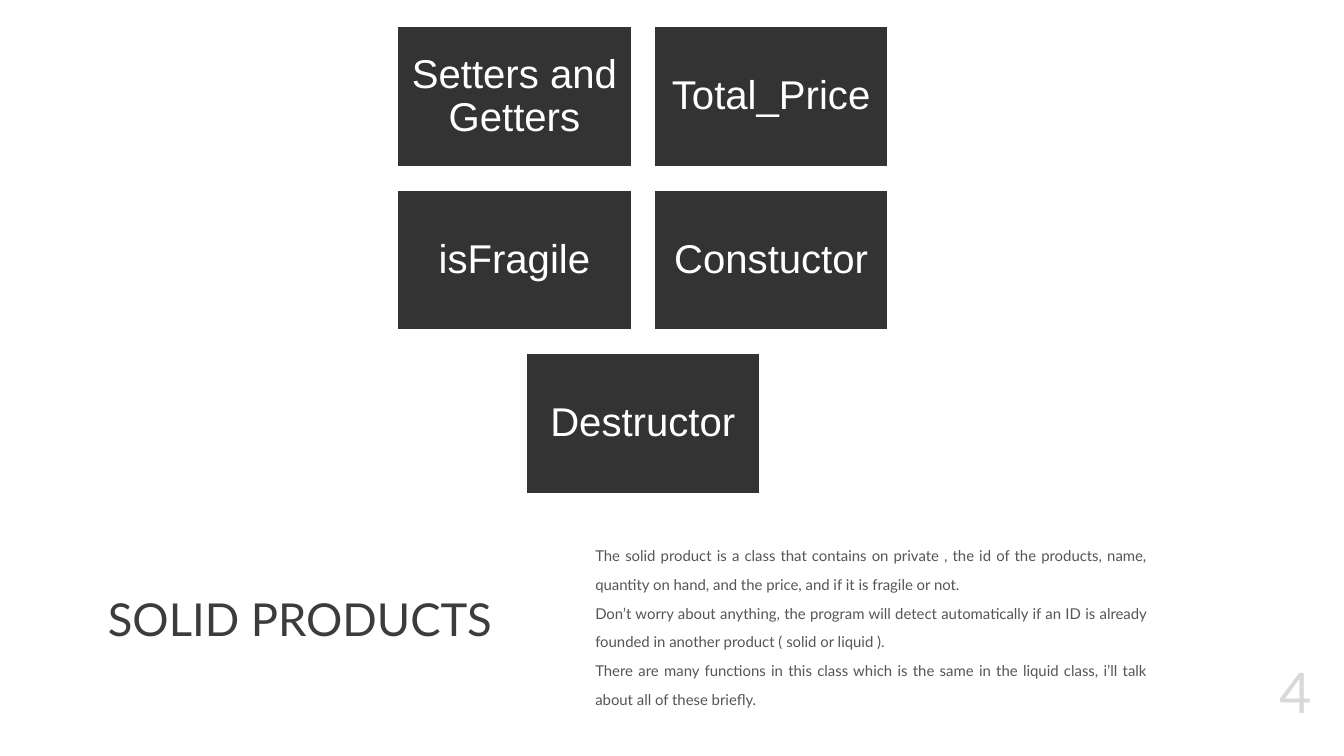
from pptx import Presentation
from pptx.dml.color import RGBColor
from pptx.enum.shapes import MSO_SHAPE
from pptx.enum.text import MSO_ANCHOR, PP_ALIGN
from pptx.util import Emu, Pt

PX = 9144  # 100 px to the inch
RECTANGLE = MSO_SHAPE.RECTANGLE
MIDDLE = MSO_ANCHOR.MIDDLE
CENTER, RIGHT, JUSTIFY = PP_ALIGN.CENTER, PP_ALIGN.RIGHT, PP_ALIGN.JUSTIFY

SLIDE_W, SLIDE_H = 2000, 1125
CARD_W, CARD_H, GAP = 347, 208, 35
CARDS_CENTER, CARDS_TOP = 956, 40
CARD_ROWS = [
    ["Setters and Getters", "Total_Price"],
    ["isFragile", "Constuctor"],
    ["Destructor"],
]
DESCRIPTION = [
    "The solid product is a class that contains on private , the id of the products, "
    "name, quantity on hand, and the price, and if it is fragile or not.",
    "Don’t worry about anything, the program will detect automatically if an ID is "
    "already founded in another product ( solid or liquid ).",
    "There are many functions in this class which is the same in the liquid class, "
    "i’ll talk about all of these briefly.",
]


def px(length):
    return Emu(length * PX)


def color(hex_string):
    return RGBColor.from_string(hex_string)


class SlideBuilder:
    CARD_FONT, TEXT_FONT = "Arial", "Lato"
    CARD_FILL, WHITE = "333333", "FFFFFF"
    TITLE_COLOR, BODY_COLOR, NUMBER_COLOR = "3C3C3C", "575454", "D9D9D9"

    def __init__(self, slide):
        self.slide = slide

    def set_text(self, shape, lines, font, size, hex_color, align, spacing, inset):
        """Fill a shape with vertically centred paragraphs in one style."""
        frame = shape.text_frame
        frame.word_wrap = True
        frame.vertical_anchor = MIDDLE
        frame.margin_left = frame.margin_right = px(inset)
        frame.margin_top = frame.margin_bottom = px(inset)
        frame.text = "\n".join(lines)
        for paragraph in frame.paragraphs:
            paragraph.alignment = align
            paragraph.line_spacing = spacing
            for run in paragraph.runs:
                run.font.name = font
                run.font.size = Pt(size)
                run.font.color.rgb = color(hex_color)

    def card(self, left, top, label):
        card = self.slide.shapes.add_shape(
            RECTANGLE, px(left), px(top), px(CARD_W), px(CARD_H))
        card.shadow.inherit = False
        card.fill.solid()
        card.fill.fore_color.rgb = color(self.CARD_FILL)
        card.line.color.rgb = color(self.WHITE)
        card.line.width = Pt(1)
        self.set_text(card, [label], self.CARD_FONT, 43, self.WHITE, CENTER, 0.9, 18)

    def text(self, left, top, width, height, lines, size, hex_color, align,
             spacing=1.0, inset=10):
        box = self.slide.shapes.add_textbox(px(left), px(top), px(width), px(height))
        self.set_text(box, lines, self.TEXT_FONT, size, hex_color, align, spacing, inset)

    def title(self, title):
        self.text(116, 868, 626, 115, [title], 48.6, self.TITLE_COLOR, RIGHT, 0.9)

    def body(self, paragraphs):
        self.text(876, 835, 841, 182, paragraphs, 16, self.BODY_COLOR, JUSTIFY, 1.6)

    def slide_number(self, number):
        self.text(1853, 978, 100, 100, [number], 60, self.NUMBER_COLOR, RIGHT, inset=0)


def main():
    presentation = Presentation()
    presentation.slide_width, presentation.slide_height = px(SLIDE_W), px(SLIDE_H)
    builder = SlideBuilder(presentation.slides.add_slide(presentation.slide_layouts[6]))

    builder.title("SOLID PRODUCTS")
    builder.body(DESCRIPTION)
    for row, labels in enumerate(CARD_ROWS):
        row_width = len(labels) * (CARD_W + GAP) - GAP
        row_left = CARDS_CENTER - row_width // 2
        for column, label in enumerate(labels):
            builder.card(row_left + column * (CARD_W + GAP),
                         CARDS_TOP + row * (CARD_H + GAP), label)
    builder.slide_number("4")

    presentation.save("out.pptx")


if __name__ == "__main__":
    main()
